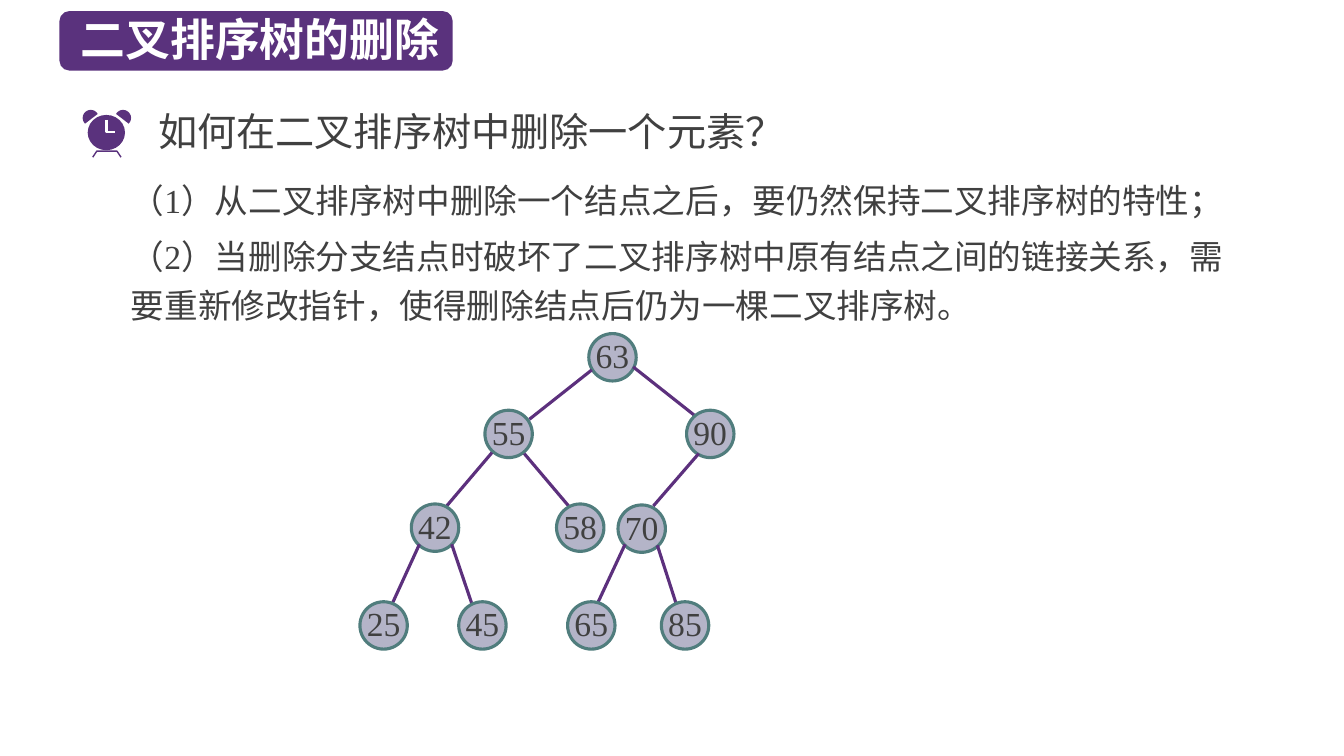
import math

from lxml import etree
from pptx import Presentation
from pptx import util as u
from pptx.dml import color
from pptx.enum import shapes, text
from pptx.oxml import ns

COLORS = {
    "purple": "5A327D",
    "edge": "5C307D",
    "node": "B4B4C8",
    "ring": "507D7D",
    "ink": "404040",
    "white": "FFFFFF",
}
SANS = "Noto Sans CJK SC"
SERIF = "Times New Roman"
NODE_SIZE = 0.47
NODES = [
    ("63", 2.27, 0, None),
    ("55", 1.24, 0.76, (2.30, 0.36, 1.68, 0.85)),
    ("42", 0.51, 1.69, (1.31, 1.18, 0.86, 1.71)),
    ("25", 0, 2.66, (0.59, 2.09, 0.32, 2.68)),
    ("45", 0.98, 2.66, (0.91, 2.09, 1.11, 2.68)),
    ("58", 1.95, 1.69, (1.63, 1.19, 2.07, 1.71)),
    ("90", 3.24, 0.76, (2.71, 0.33, 3.33, 0.82)),
    ("70", 2.56, 1.70, (3.36, 1.19, 2.91, 1.71)),
    ("65", 2.06, 2.66, (2.63, 2.09, 2.35, 2.69)),
    ("85", 2.99, 2.66, (2.95, 2.10, 3.14, 2.69)),
]


def rgb(name):
    """Return the named colour."""
    return color.RGBColor.from_string(COLORS[name])


def write(shape, content, size=24, font=SERIF, ink="ink", bold=False, inset=None,
          align=text.PP_ALIGN.LEFT, anchor=text.MSO_ANCHOR.TOP, spacing=1.0, wrap=True):
    """Put one formatted paragraph into a shape."""
    frame = shape.text_frame
    frame.word_wrap = wrap
    frame.auto_size = text.MSO_AUTO_SIZE.NONE
    frame.vertical_anchor = anchor
    if inset is not None:
        frame.margin_left = frame.margin_right = u.Inches(inset)
        frame.margin_top = frame.margin_bottom = u.Inches(inset)
    paragraph = frame.paragraphs[0]
    paragraph.alignment = align
    paragraph.line_spacing = spacing
    paragraph.space_before = u.Pt(0)
    run = paragraph.add_run()
    run.text = content
    run.font.size = u.Pt(size)
    run.font.name = font
    run.font.bold = bold
    run.font.color.rgb = rgb(ink)
    east_asian = etree.SubElement(run.font._element, ns.qn("a:ea"))
    east_asian.set("typeface", SANS)


def paint(shape, fill=None, line=None, width=2.25):
    """Set the fill and line of a shape and drop its shadow."""
    shape.shadow.inherit = False
    if fill:
        shape.fill.solid()
        shape.fill.fore_color.rgb = rgb(fill)
    else:
        shape.fill.background()
    if line:
        shape.line.color.rgb = rgb(line)
        shape.line.width = u.Pt(width)
    else:
        shape.line.fill.background()


def add_preset(slide, kind, left, top, width, height):
    """Add a preset shape placed in inches."""
    return slide.shapes.add_shape(
        kind, *(u.Inches(value) for value in (left, top, width, height)))


def add_outline(slide, points, close):
    """Add a freeform through points given in inches."""
    points = [(u.Inches(x), u.Inches(y)) for x, y in points]
    builder = slide.shapes.build_freeform(*points[0])
    builder.add_line_segments(points[1:], close=close)
    return builder.convert_to_shape()


def add_text(slide, content, left, top, width, height, **style):
    """Add a text box placed in inches."""
    box = slide.shapes.add_textbox(
        *(u.Inches(value) for value in (left, top, width, height)))
    write(box, content, **style)


def add_heading(slide, left, top, width, height):
    """Place the title on its purple banner."""
    title = slide.shapes.title
    title.left, title.top = u.Inches(left + 0.11), u.Inches(top - 0.04)
    title.width, title.height = u.Inches(width - 0.11), u.Inches(height + 0.05)
    write(title, "二叉排序树的删除", size=32, font=SANS, ink="white", bold=True)
    banner = add_preset(slide, shapes.MSO_SHAPE.ROUNDED_RECTANGLE, left, top, width, height)
    paint(banner, "purple")
    title.element.addprevious(banner.element)


def add_clock(slide, left, top):
    """Draw the alarm clock with its bells, face, hands and feet."""
    middle = left + 0.24
    feet = [(-0.14, 0.47), (-0.1, 0.41), (0.1, 0.41), (0.14, 0.47)]
    paint(add_outline(slide, [(middle + x, top + y) for x, y in feet], False),
          line="purple", width=1)
    for side in (-1, 1):
        angles = [math.radians(degrees) for degrees in range(135, 331, 15)]
        bell = [(middle + side * (0.16 - 0.08 * math.cos(angle)),
                 top + 0.08 + 0.08 * math.sin(angle)) for angle in angles]
        paint(add_outline(slide, bell, True), "purple")
    face = add_preset(slide, shapes.MSO_SHAPE.OVAL, middle - 0.19, top + 0.05, 0.37, 0.35)
    paint(face, "purple")
    hands = [(middle, top + 0.1), (middle, top + 0.22), (middle + 0.08, top + 0.22)]
    paint(add_outline(slide, hands, False), line="white", width=2)


def add_question(slide, left, top, width):
    """Place the question with its clock and the two requirements."""
    add_clock(slide, left, top + 0.07)
    add_text(slide, "如何在二叉排序树中删除一个元素？", left + 0.65, top, 9.3, 0.57, size=28)
    requirements = [
        ("（1）从二叉排序树中删除一个结点之后，要仍然保持二叉排序树的特性；", 0.63, 0.55),
        ("（2）当删除分支结点时破坏了二叉排序树中原有结点之间的链接关系，"
         "需要重新修改指针，使得删除结点后仍为一棵二叉排序树。", 1.19, 1.04),
    ]
    for content, offset, height in requirements:
        add_text(slide, content, left + 0.38, top + offset, width - 0.38, height,
                 spacing=u.Pt(35))


def add_edge(slide, left, top, ends):
    """Join a parent and a child of the tree."""
    start_x, start_y, end_x, end_y = ends
    edge = slide.shapes.add_connector(
        shapes.MSO_CONNECTOR.STRAIGHT,
        u.Inches(left + start_x), u.Inches(top + start_y),
        u.Inches(left + end_x), u.Inches(top + end_y))
    edge.line.color.rgb = rgb("edge")
    edge.line.width = u.Pt(2.25)
    etree.SubElement(edge.element.spPr, ns.qn("a:effectLst"))


def add_tree(slide, left, top):
    """Draw the binary search tree, each node after the edge to its parent."""
    for key, x, y, ends in NODES:
        if ends:
            add_edge(slide, left, top, ends)
        node = add_preset(slide, shapes.MSO_SHAPE.OVAL, left + x, top + y,
                          NODE_SIZE, NODE_SIZE)
        paint(node, "node", "ring")
        write(node, key, inset=0, align=text.PP_ALIGN.CENTER,
              anchor=text.MSO_ANCHOR.MIDDLE, spacing=u.Pt(26), wrap=False)


def main():
    """Build and save the presentation."""
    presentation = Presentation()
    presentation.slide_width = u.Inches(13.33)
    presentation.slide_height = u.Inches(7.5)
    slide = presentation.slides.add_slide(presentation.slide_layouts[5])
    add_heading(slide, 0.59, 0.11, 3.9, 0.59)
    add_question(slide, 0.82, 1.02, 11.42)
    add_tree(slide, 3.57, 3.31)
    presentation.save("out.pptx")


if __name__ == "__main__":
    main()
